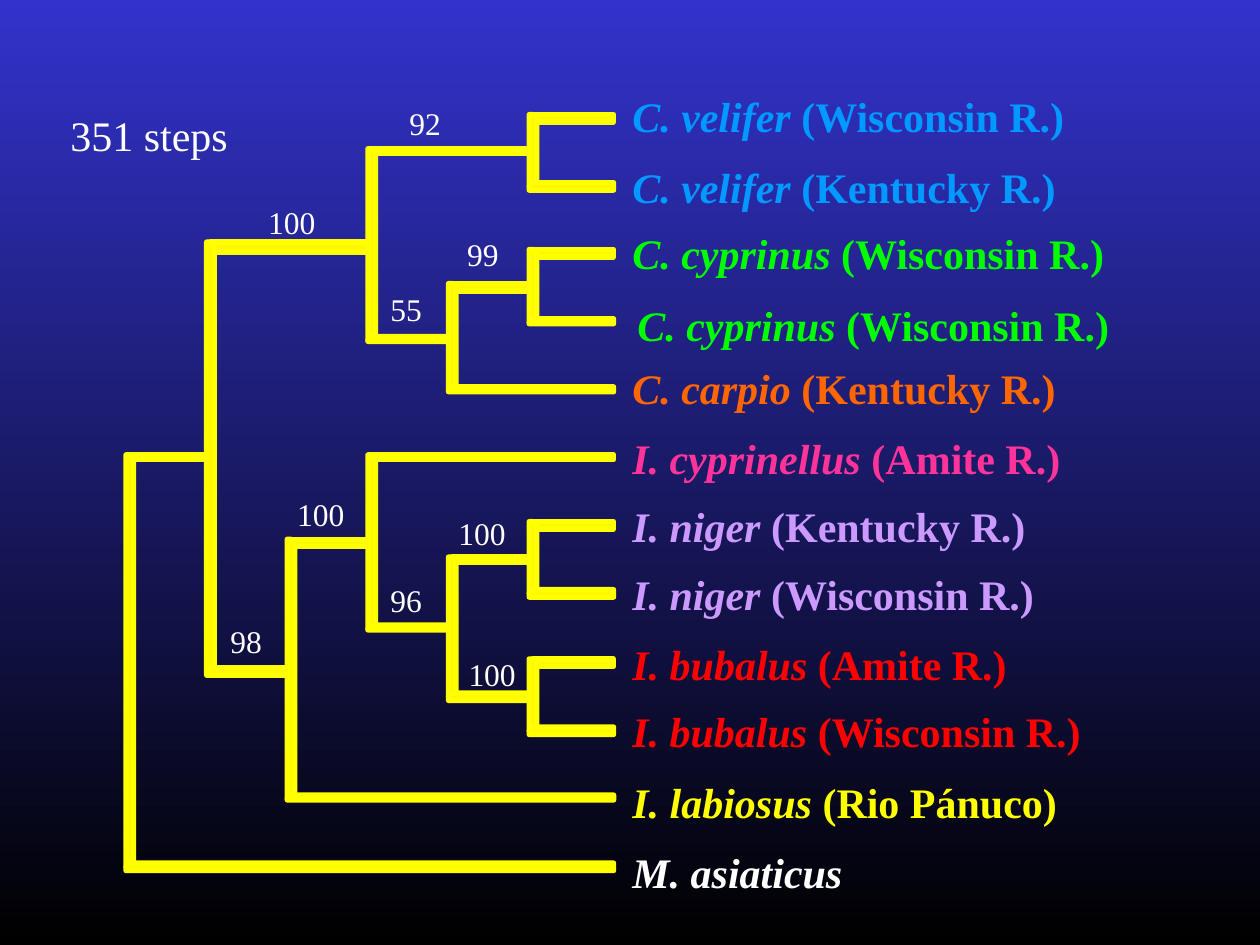
from dataclasses import dataclass

from pptx import Presentation
from pptx.dml.color import RGBColor
from pptx.enum.shapes import MSO_SHAPE as Shape
from pptx.enum.text import MSO_AUTO_SIZE as AutoSize
from pptx.util import Inches, Pt


@dataclass(frozen=True)
class Theme:
    font: str = "Times New Roman"
    sky: str = "3333CC"
    night: str = "000000"
    branch: str = "FFF700"
    outline: str = "FFFF00"
    text: str = "FFFFFF"
    velifer: str = "0099FF"
    cyprinus: str = "00FF00"
    carpio: str = "FF6600"
    cyprinellus: str = "FF3399"
    niger: str = "CC99FF"
    bubalus: str = "FF0000"
    labiosus: str = "FFFF00"
    taxon_size: int = 24
    support_size: int = 18
    outline_width: int = 3


THEME = Theme()
TREE_LEFT, COLUMN, HALF_STEM = 1.03, 0.64, 0.03
LABEL_SLACK = 0.04  # spare width that keeps a label on one line

# column of the fork, then (top edge, thickness, end column) of each branch
FORKS = [
    (0, (3.61, 0.04, 1), (6.85, 0.06, 6)),
    (1, (1.92, 0.08, 3), (5.30, 0.06, 2)),
    (3, (1.18, 0.04, 5), (2.67, 0.04, 4)),
    (5, (0.91, 0.06, 6), (1.45, 0.06, 6)),
    (4, (2.25, 0.06, 5), (3.07, 0.04, 6)),
    (5, (1.98, 0.06, 6), (2.53, 0.04, 6)),
    (2, (4.28, 0.06, 3), (6.31, 0.04, 6)),
    (3, (3.61, 0.04, 6), (4.96, 0.04, 4)),
    (4, (4.42, 0.04, 5), (5.50, 0.06, 5)),
    (5, (4.14, 0.06, 6), (4.68, 0.06, 6)),
    (5, (5.23, 0.06, 6), (5.77, 0.06, 6)),
]

# species, river, colour, box
TAXA = [
    ("C. velifer", " (Wisconsin R.)", THEME.velifer, (4.92, 0.67, 3.63, 0.5)),
    ("C. velifer", " (Kentucky R.)", THEME.velifer, (4.92, 1.23, 3.56, 0.5)),
    ("C. cyprinus", " (Wisconsin R.)", THEME.cyprinus, (4.92, 1.76, 3.95, 0.5)),
    ("C. cyprinus", " (Wisconsin R.)", THEME.cyprinus, (4.96, 2.33, 3.95, 0.5)),
    ("C. carpio", " (Kentucky R.)", THEME.carpio, (4.92, 2.83, 3.56, 0.5)),
    ("I. cyprinellus", " (Amite R.)", THEME.cyprinellus, (4.92, 3.38, 3.6, 0.5)),
    ("I. niger", " (Kentucky R.)", THEME.niger, (4.92, 3.92, 3.32, 0.5)),
    ("I. niger", " (Wisconsin R.)", THEME.niger, (4.92, 4.46, 3.39, 0.5)),
    ("I. bubalus", " (Amite R.)", THEME.bubalus, (4.92, 5.02, 3.17, 0.5)),
    ("I. bubalus", " (Wisconsin R.)", THEME.bubalus, (4.92, 5.55, 4.56, 0.9)),
    ("I. labiosus", " (Rio Pánuco)", THEME.labiosus, (4.92, 6.11, 5.04, 0.9)),
    ("M. asiaticus", "", THEME.text, (4.92, 6.67, 1.88, 0.5)),
]

SUPPORTS = [
    ("92", (3.15, 0.78, 0.45, 0.4)),
    ("99", (3.61, 1.82, 0.45, 0.4)),
    ("55", (3.00, 2.25, 0.45, 0.4)),
    ("100", (3.54, 4.03, 0.58, 0.4)),
    ("100", (3.62, 5.15, 0.58, 0.4)),
    ("96", (3.00, 4.56, 0.45, 0.4)),
    ("100", (2.26, 3.88, 0.58, 0.4)),
    ("98", (1.73, 4.89, 0.45, 0.4)),
    ("100", (2.03, 1.56, 0.58, 0.4)),
]


def paint_background(page):
    fill = page.background.fill
    fill.gradient()
    fill.gradient_angle = 270
    for stop, color, position in zip(fill.gradient_stops, (THEME.sky, THEME.night), (0, 1)):
        stop.color.rgb = RGBColor.from_string(color)
        stop.position = position


def style_branch(shape):
    shape.shadow.inherit = False
    shape.fill.solid()
    shape.fill.fore_color.rgb = RGBColor.from_string(THEME.branch)
    shape.line.color.rgb = RGBColor.from_string(THEME.outline)
    shape.line.width = Pt(THEME.outline_width)


def add_outline(page, points):
    corners = [(Inches(x), Inches(y)) for x, y in points]
    builder = page.shapes.build_freeform(*corners[0])
    builder.add_line_segments(corners[1:], close=True)
    style_branch(builder.convert_to_shape())


def add_fork(page, column, upper, lower):
    """Draw the upper branch, the stem and the lower branch, with mitred corners."""
    def column_x(number):
        return TREE_LEFT + COLUMN * number

    x = column_x(column)
    left, right = x - HALF_STEM, x + HALF_STEM
    top, thickness, end = upper
    style_branch(page.shapes.add_shape(
        Shape.RECTANGLE, Inches(x), Inches(top),
        Inches(column_x(end) - x), Inches(thickness)))

    low, thickness, end = lower
    middle, bottom = low + HALF_STEM, low + thickness
    add_outline(page, [(x, top), (right, top + HALF_STEM), (right, middle),
                       (left, middle), (left, top)])
    add_outline(page, [(left, middle), (x, low), (column_x(end), low),
                       (column_x(end), bottom), (left, bottom)])


def add_label(page, box, spans, size, color):
    """Place one line of text; spans pairs each wording with its format values."""
    left, top, width, height = box
    label = page.shapes.add_textbox(
        Inches(left), Inches(top), Inches(width + LABEL_SLACK), Inches(height))
    frame = label.text_frame
    frame.word_wrap = True
    frame.auto_size = AutoSize.SHAPE_TO_FIT_TEXT
    para = frame.paragraphs[0]
    for wording, values in spans:
        span = para.add_run()
        span.text = wording
        span.font.color.rgb = RGBColor.from_string(color)
        for name, value in {"name": THEME.font, "size": Pt(size), **values}.items():
            setattr(span.font, name, value)


def add_taxon(page, species, river, color, box):
    spans = [(species, {"bold": True, "italic": True})]
    if river:
        spans.append((river, {"bold": True, "italic": False}))
    add_label(page, box, spans, THEME.taxon_size, color)


def main():
    deck = Presentation()
    deck.slide_width, deck.slide_height = Inches(10), Inches(7.5)
    page = deck.slides.add_slide(deck.slide_layouts[6])
    paint_background(page)
    for fork in FORKS:
        add_fork(page, *fork)
    for taxon in TAXA:
        add_taxon(page, *taxon)
    for support, box in SUPPORTS:
        add_label(page, box, [(support, {})], THEME.support_size, THEME.text)
    add_label(page, (0.46, 0.82, 1.45, 0.5), [("351 steps", {})],
              THEME.taxon_size, THEME.text)
    deck.save("out.pptx")


if __name__ == "__main__":
    main()
